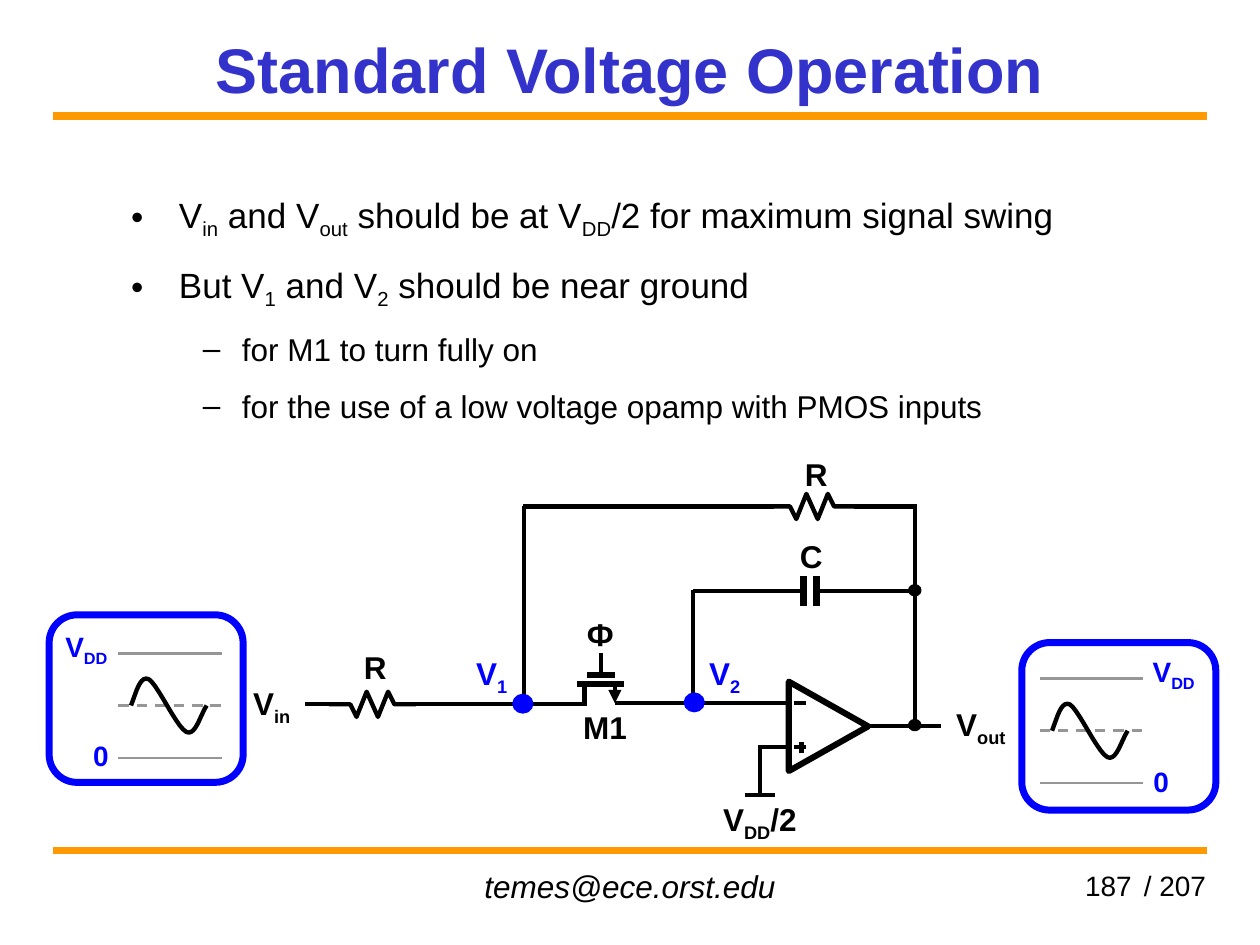
"""Build the "Standard Voltage Operation" slide with its switched opamp circuit."""
from dataclasses import dataclass

from lxml import etree
from pptx import Presentation, util as u
from pptx.dml.color import RGBColor
from pptx.enum import dml, shapes, text
from pptx.oxml.ns import qn


@dataclass(frozen=True)
class Theme:
    font: str = "Arial"
    ink: str = "000000"
    title: str = "3333CC"
    accent: str = "0000FF"
    rule: str = "FF9900"
    level: str = "969696"
    title_size: int = 36
    body_size: int = 20
    label_size: int = 18
    small_size: int = 16
    wire: float = 2.5
    bar: float = 3.5
    plate: float = 4
    thin: float = 1.5


THEME = Theme()
CM_PER_UNIT = 2.54

TITLE = "Standard Voltage Operation"
BULLETS = [
    (0, "V~in~ and V~out~ should be at V~DD~/2 for maximum signal swing"),
    (0, "But V~1~ and V~2~ should be near ground"),
    (1, "for M1 to turn fully on"),
    (1, "for the use of a low voltage opamp with PMOS inputs"),
]
BULLET_STYLES = [("•", 0.38, -0.38, THEME.body_size), ("–", 0.88, -0.31, THEME.label_size)]

RULES = [0.92, 6.75]
CAPACITOR_PLATES = [(6.48, 4.57, 6.48, 4.81), (6.38, 4.57, 6.38, 4.81)]
TRANSISTOR_BARS = [(4.58, 5.43, 4.95, 5.43), (4.66, 5.36, 4.88, 5.36)]
SOURCE_ARROW = (4.88, 5.58, 4.88, 5.43)
TRANSISTOR_LEADS = [
    (4.77, 5.38, 4.77, 5.18), (4.66, 5.59, 4.49, 5.59),
    (5.06, 5.58, 4.88, 5.58), (4.64, 5.59, 4.64, 5.43),
]
WIRES = [
    (6.47, 4.69, 6.72, 4.69), (6.14, 4.69, 6.39, 4.69),
    (5.05, 5.58, 6.06, 5.58), (3.24, 5.59, 4.58, 5.59),
    (5.5, 4.69, 6.18, 4.69), (4.16, 5.57, 4.16, 4.02),
    (7.07, 5.76, 7.47, 5.76), (7.26, 5.75, 7.26, 4.03),
    (4.15, 4.02, 6.14, 4.02), (6.78, 4.02, 7.28, 4.02),
    (6.7, 4.69, 7.26, 4.69), (5.5, 5.58, 5.5, 4.68),
    (6.03, 5.92, 6.03, 6.32), (2.42, 5.59, 2.68, 5.59),
    (5.91, 6.31, 6.15, 6.31),
]
OPAMP = (6.22, 5.45, 0.71, 0.63)
OPAMP_LEADS = [
    (6.3, 5.58, 6.4, 5.58), (6.25, 5.93, 6.02, 5.93),
    (6.26, 5.58, 6.03, 5.58), (7.08, 5.76, 6.85, 5.76),
    (6.3, 5.93, 6.4, 5.93), (6.36, 5.98, 6.36, 5.89),
]
RESISTORS = [(2.61, 5.59), (6.1, 4.02)]
ZIGZAG = [(0, 0), (0.17, 0), (0.22, 0.1), (0.3, -0.1), (0.39, 0.1),
          (0.47, -0.1), (0.52, 0), (0.69, 0)]
NODES = [
    ((7.22, 5.72, 0.08, 0.07), THEME.ink), ((7.22, 4.65, 0.08, 0.07), THEME.ink),
    ((5.44, 5.51, 0.14, 0.13), THEME.accent), ((4.08, 5.52, 0.14, 0.13), THEME.accent),
]
LABELS = [
    ("V~in~", 1.91, 5.38, 0.52, THEME.ink), ("R", 2.79, 5.09, 0.38, THEME.ink),
    ("R", 6.29, 3.56, 0.38, THEME.ink), ("C", 6.25, 4.21, 0.38, THEME.ink),
    ("M1", 4.53, 5.57, 0.55, THEME.ink), ("Ф", 4.56, 4.83, 0.41, THEME.ink),
    ("V~out~", 7.49, 5.55, 0.73, THEME.ink), ("V~DD~/2", 5.64, 6.3, 0.98, THEME.ink),
    ("V~1~", 3.68, 5.14, 0.46, THEME.accent), ("V~2~", 5.53, 5.14, 0.46, THEME.accent),
]
SIGNALS = [
    dict(axis=0.94, middle=5.6, frame=(0.39, 4.88), supply=(0.27, 0.83), ground=(0.57, 0.46)),
    dict(axis=8.25, middle=5.8, frame=(8.11, 5.1), supply=(8.9, 0.83), ground=(8.8, 0.83)),
]
SWING = 0.415
SINE = [
    ((0, 0), (0.04, -0.1), (0.07, -0.24), (0.14, -0.21)),
    ((0.14, -0.21), (0.21, -0.17), (0.36, 0.17), (0.44, 0.21)),
    ((0.44, 0.21), (0.51, 0.24), (0.54, 0.1), (0.6, 0)),
]
CURVE_STEPS = 10


def size(value):
    return u.Cm(value * CM_PER_UNIT)


def rgb(color):
    return RGBColor.from_string(color)


def place(part, *box):
    part.left, part.top, part.width, part.height = map(size, box)


def write(paragraph, content, points, color=THEME.ink, bold=False, italic=False):
    for index, piece in enumerate(content.split("~")):
        if piece:
            run = paragraph.add_run()
            run.text = piece
            if index % 2:
                run.font._element.set("baseline", "-25000")
    font = paragraph.font
    font.name, font.size, font.bold, font.italic = THEME.font, u.Pt(points), bold, italic
    font.color.rgb = rgb(color)


def add_label(slide, content, box, points=THEME.label_size, color=THEME.ink, wrap=True,
              align=text.PP_ALIGN.LEFT, anchor=text.MSO_ANCHOR.TOP, **style):
    frame = slide.shapes.add_textbox(*map(size, box)).text_frame
    frame.word_wrap, frame.vertical_anchor = wrap, anchor
    frame.paragraphs[0].alignment = align
    write(frame.paragraphs[0], content, points, color, **style)


def add_line(slide, ends, color=THEME.ink, weight=THEME.wire):
    connector = slide.shapes.add_connector(shapes.MSO_CONNECTOR.STRAIGHT, *map(size, ends))
    connector.line.color.rgb, connector.line.width = rgb(color), u.Pt(weight)
    etree.SubElement(connector._element.spPr, qn("a:effectLst"))
    return connector


def outline(part, weight, color=THEME.ink, fill=None):
    part.shadow.inherit = False
    if fill:
        part.fill.solid()
        part.fill.fore_color.rgb = rgb(fill)
    else:
        part.fill.background()
    part.line.color.rgb, part.line.width = rgb(color), u.Pt(weight)


def add_path(slide, left, middle, offsets):
    points = [(size(left + x), size(middle + y)) for x, y in offsets]
    builder = slide.shapes.build_freeform(*points[0])
    builder.add_line_segments(points[1:], close=False)
    outline(builder.convert_to_shape(), THEME.wire)


def sine_points():
    points = [SINE[0][0]]
    for curve in SINE:
        for step in range(1, CURVE_STEPS + 1):
            t = step / CURVE_STEPS
            weights = ((1 - t) ** 3, 3 * t * (1 - t) ** 2, 3 * t * t * (1 - t), t ** 3)
            points.append(tuple(sum(w * p[axis] for w, p in zip(weights, curve))
                                for axis in (0, 1)))
    return points


def add_heading_and_bullets(slide):
    title, body = slide.placeholders
    place(title, 0.75, 0.17, 8.5, 0.75)
    title.text_frame.vertical_anchor = text.MSO_ANCHOR.MIDDLE
    title.text_frame.paragraphs[0].alignment = text.PP_ALIGN.CENTER
    write(title.text_frame.paragraphs[0], TITLE, THEME.title_size, THEME.title, bold=True)

    place(body, 0.94, 1.31, 8.23, 2.13)
    frame = body.text_frame
    frame.auto_size, frame.margin_top = text.MSO_AUTO_SIZE.NONE, size(0.11)
    for index, (level, content) in enumerate(BULLETS):
        paragraph = frame.add_paragraph() if index else frame.paragraphs[0]
        mark, margin, indent, points = BULLET_STYLES[level]
        paragraph.level, paragraph.line_spacing = level, 1.3
        paragraph.space_before = u.Pt(4.5 if index else 0)
        properties = paragraph._p.get_or_add_pPr()
        properties.set("marL", str(size(margin)))
        properties.set("indent", str(size(indent)))
        etree.SubElement(properties, qn("a:buChar"), char=mark)
        write(paragraph, content, points)


def add_circuit(slide):
    for ends in CAPACITOR_PLATES:
        add_line(slide, ends, weight=THEME.plate)
    for ends in TRANSISTOR_BARS:
        add_line(slide, ends, weight=THEME.bar)
    arrow = add_line(slide, SOURCE_ARROW)
    etree.SubElement(arrow.line._get_or_add_ln(), qn("a:headEnd"), type="triangle")
    for ends in TRANSISTOR_LEADS + WIRES + OPAMP_LEADS:
        add_line(slide, ends)
    for left, middle in RESISTORS:
        add_path(slide, left, middle, ZIGZAG)
    opamp = slide.shapes.add_shape(shapes.MSO_SHAPE.ISOSCELES_TRIANGLE, *map(size, OPAMP))
    opamp.rotation = 90
    outline(opamp, THEME.bar)
    for box, color in NODES:
        outline(slide.shapes.add_shape(shapes.MSO_SHAPE.OVAL, *map(size, box)), 2, color, color)
    for content, left, top, width, color in LABELS:
        add_label(slide, content, (left, top, width, 0.4), color=color, wrap=False, bold=True)


def add_signal(slide, axis, middle, frame, supply, ground):
    for offset in (-SWING, 0, SWING):
        level = add_line(slide, (axis, middle + offset, axis + 0.82, middle + offset),
                         THEME.level, THEME.thin)
        if not offset:
            level.line.dash_style = dml.MSO_LINE.DASH
    for content, (left, width), drop in (("V~DD~", supply, -0.62), ("0", ground, 0.21)):
        add_label(slide, content, (left, middle + drop, width, 0.37), THEME.small_size,
                  THEME.accent, align=text.PP_ALIGN.CENTER,
                  anchor=text.MSO_ANCHOR.BOTTOM, bold=True)
    add_path(slide, axis + 0.1, middle, sine_points())
    border = slide.shapes.add_shape(shapes.MSO_SHAPE.ROUNDED_RECTANGLE,
                                    *map(size, (*frame, 1.54, 1.33)))
    outline(border, THEME.plate, THEME.accent)


def main():
    deck = Presentation()
    deck.slide_width, deck.slide_height = size(10), size(7.5)
    slide = deck.slides.add_slide(deck.slide_layouts[1])
    for height in RULES:
        add_line(slide, (0.42, height, 9.58, height), THEME.rule, 4.5)
    add_label(slide, "temes@ece.orst.edu", (3.25, 6.83, 3.5, 0.4),
              align=text.PP_ALIGN.CENTER, italic=True)
    for content, left, width in (("/ 207", 7.42, 2.25), ("187", 7.69, 1.39)):
        add_label(slide, content, (left, 6.83, width, 0.4), THEME.small_size,
                  align=text.PP_ALIGN.RIGHT, anchor=text.MSO_ANCHOR.MIDDLE)
    add_heading_and_bullets(slide)
    add_circuit(slide)
    for signal in SIGNALS:
        add_signal(slide, **signal)
    deck.save("out.pptx")


if __name__ == "__main__":
    main()
